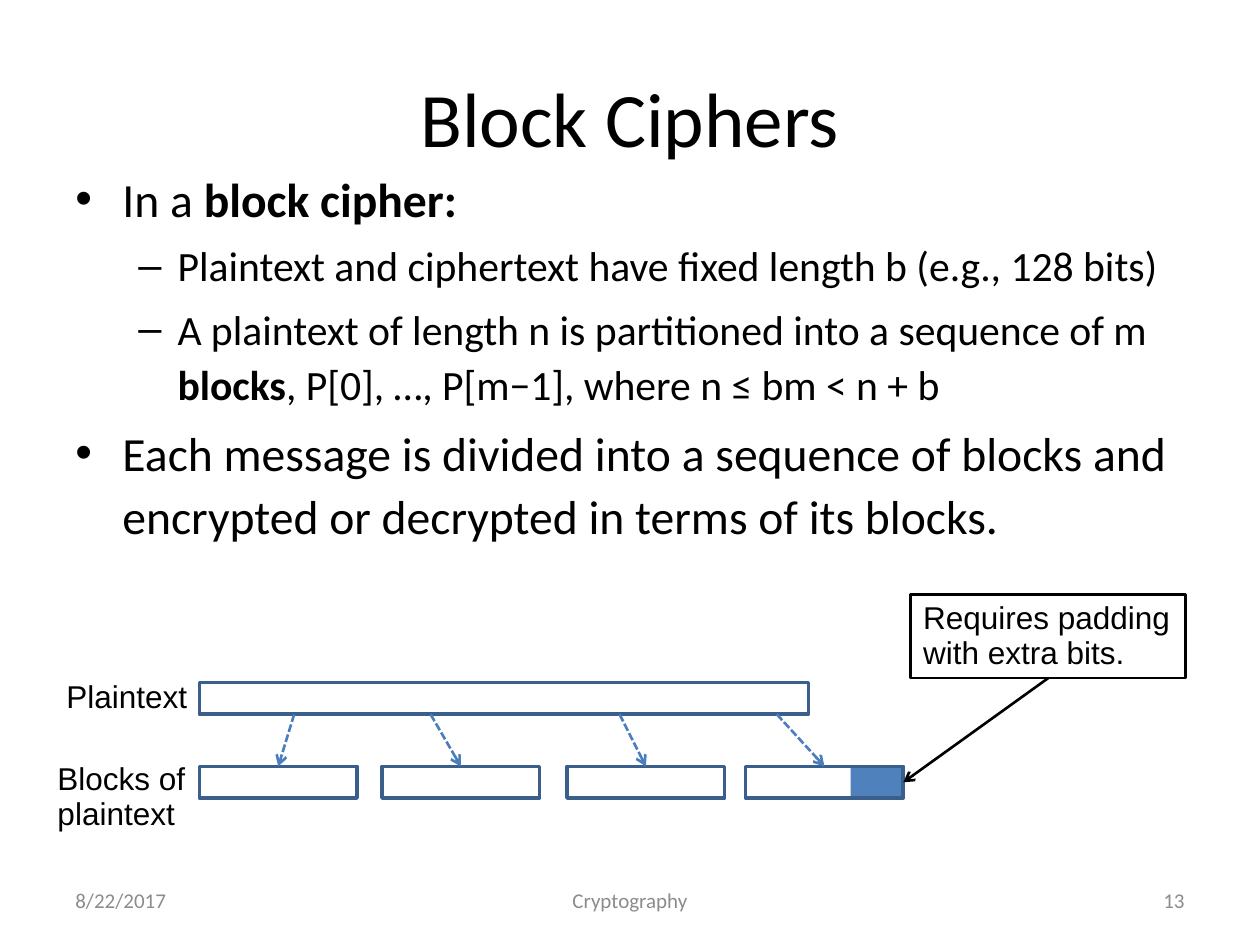
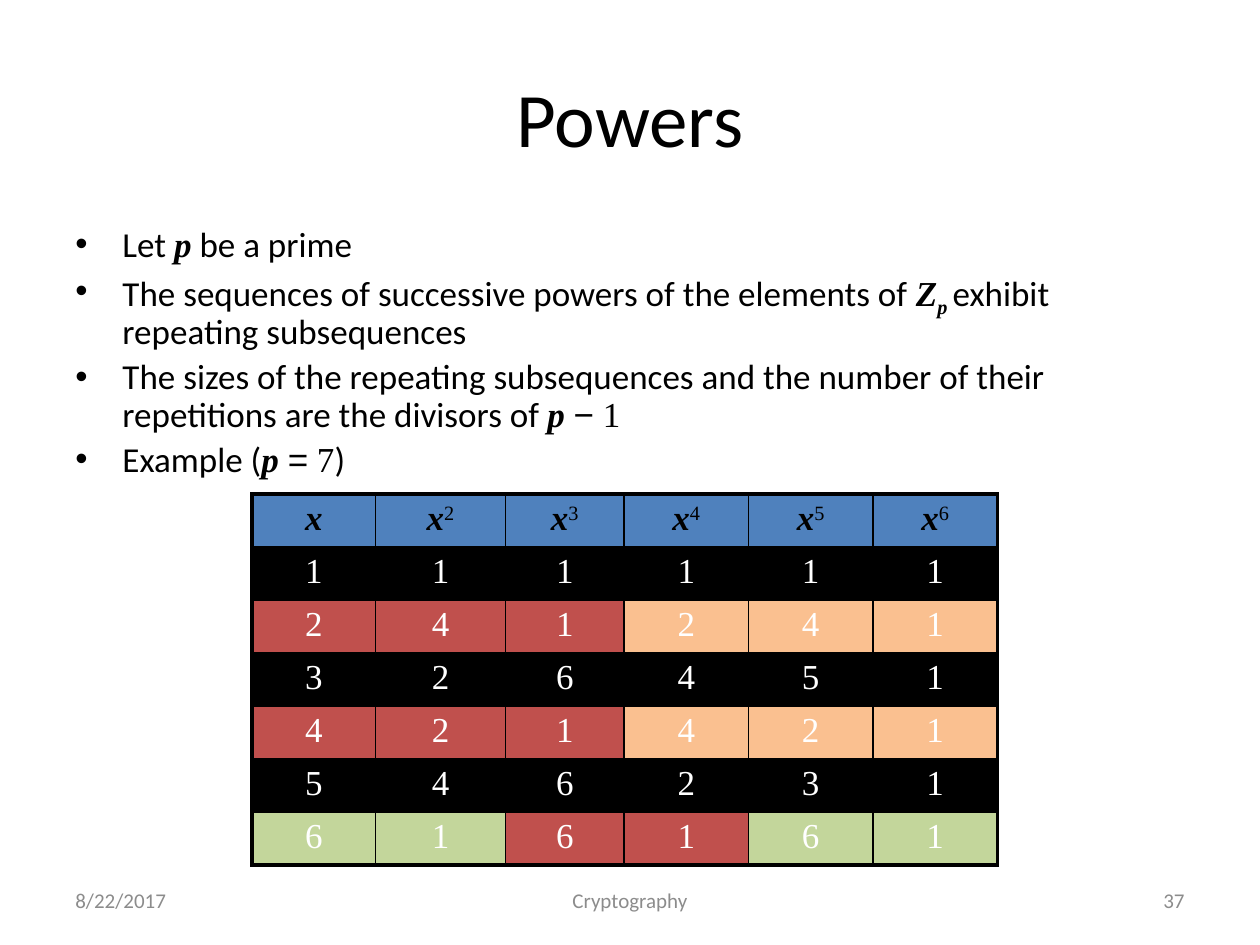
from lxml import etree
from pptx import Presentation
from pptx.dml.color import RGBColor
from pptx.enum.dml import MSO_LINE
from pptx.enum.shapes import MSO_CONNECTOR, MSO_SHAPE
from pptx.enum.text import MSO_ANCHOR, MSO_AUTO_SIZE, PP_ALIGN
from pptx.oxml.ns import qn
from pptx.util import Cm, Pt

LEFT, CENTER, RIGHT = PP_ALIGN.LEFT, PP_ALIGN.CENTER, PP_ALIGN.RIGHT
TOP, MIDDLE = MSO_ANCHOR.TOP, MSO_ANCHOR.MIDDLE
FIT_SHAPE = MSO_AUTO_SIZE.SHAPE_TO_FIT_TEXT
RECTANGLE, STRAIGHT = MSO_SHAPE.RECTANGLE, MSO_CONNECTOR.STRAIGHT
DASHED = MSO_LINE.SQUARE_DOT

BLACK = RGBColor(0x00, 0x00, 0x00)
WHITE = RGBColor(0xFF, 0xFF, 0xFF)
GRAY = RGBColor(0x8C, 0x8C, 0x8C)
BLUE = RGBColor(0x4F, 0x81, 0xBD)
BLUE_EDGE = RGBColor(0x3A, 0x5F, 0x8C)
BLUE_ARROW = RGBColor(0x4B, 0x7E, 0xBC)
RED = RGBColor(0xC0, 0x50, 0x4D)
ORANGE = RGBColor(0xFA, 0xC0, 0x90)
GREEN = RGBColor(0xC3, 0xD6, 0x9B)

SANS, ARIAL, TIMES = "Calibri", "Arial", "Times New Roman"
BOLD = {"bold": True}
SYMBOL = {"font": ARIAL}
NUMBER = {"font": TIMES}
VARIABLE = {"font": TIMES, "bold": True, "italic": True}
SUBSCRIPT = {**VARIABLE, "baseline": -25}
SUPERSCRIPT = {**NUMBER, "baseline": 30}

BULLETS = [("•", 0.95, 0.95), ("–", 2.06, 0.79)]
BAR_H, BLOCK_W, BLOCK_TOP = 0.64, 3.18, 15.45
BLOCK_LEFTS = [4.02, 7.7, 11.43, 15.03]
PLAINTEXT_LEFT, PLAINTEXT_TOP, PLAINTEXT_W = 4.02, 13.76, 12.28
SPLIT_XS = [5.93, 8.68, 12.49, 15.66]
PADDING_W = 1.06


def add_run(p, text, size, color=BLACK, font=SANS, bold=False, italic=False, baseline=0):
    r = p.add_run()
    r.text = text
    r.font.name, r.font.size = font, Pt(size)
    r.font.bold, r.font.italic = bold, italic
    r.font.color.rgb = color
    if baseline:
        r.font._element.set("baseline", str(baseline * 1000))


def add_box(s, left, top, width, height, anchor=TOP, wrap=True):
    sp = s.shapes.add_textbox(Cm(left), Cm(top), Cm(width), Cm(height))
    sp.text_frame.word_wrap = wrap
    sp.text_frame.vertical_anchor = anchor
    return sp


def add_line_of_text(s, box, text, size, align, color=BLACK):
    sp = add_box(s, *box, anchor=MIDDLE)
    p = sp.text_frame.paragraphs[0]
    p.alignment = align
    add_run(p, text, size, color)


def add_label(s, left, top, width, height, lines):
    sp = add_box(s, left, top, width, height, wrap=False)
    tf = sp.text_frame
    tf.auto_size = FIT_SHAPE
    for i, line in enumerate(lines):
        p = tf.add_paragraph() if i else tf.paragraphs[0]
        p.line_spacing = 0.93
        add_run(p, line, 18, font=ARIAL)
    return sp


def add_bullets(s, top, height, items, sizes, spacing):
    tf = add_box(s, 1.27, top, 22.86, height).text_frame
    for i, (level, runs) in enumerate(items):
        p = tf.add_paragraph() if i else tf.paragraphs[0]
        char, margin, hang = BULLETS[level]
        pPr = p._p.get_or_add_pPr()
        pPr.set("marL", str(Cm(margin)))
        pPr.set("indent", str(-Cm(hang)))
        etree.SubElement(pPr, qn("a:buFont")).set("typeface", ARIAL)
        etree.SubElement(pPr, qn("a:buChar")).set("char", char)
        p.level = level
        p.line_spacing = spacing
        if i:
            p.space_before = Pt(round(sizes[level] * 0.2, 1))
        for text, style in runs:
            add_run(p, text, sizes[level], **style)


def add_bar(s, left, top, width, fill=None, edge=None):
    sp = s.shapes.add_shape(RECTANGLE, Cm(left), Cm(top), Cm(width), Cm(BAR_H))
    sp.shadow.inherit = False
    if fill is None:
        sp.fill.background()
    else:
        sp.fill.solid()
        sp.fill.fore_color.rgb = fill
    if edge is None:
        sp.line.fill.background()
    else:
        sp.line.color.rgb = edge
        sp.line.width = Pt(2)
    return sp


def add_arrow(s, x, y, target, site, color, dash=None):
    cx = s.shapes.add_connector(STRAIGHT, Cm(x), Cm(y), Cm(x), Cm(y))
    cx.end_connect(target, site)
    cx.line.color.rgb = color
    cx.line.width = Pt(1.5)
    if dash is not None:
        cx.line.dash_style = dash
    etree.SubElement(cx.line._get_or_add_ln(), qn("a:tailEnd")).set("type", "arrow")
    etree.SubElement(cx._element.spPr, qn("a:effectLst"))
    return cx


def add_border(cell, side, width):
    ln = etree.SubElement(cell._tc.get_or_add_tcPr(), qn(f"a:ln{side}"))
    ln.set("w", str(Pt(width)))
    fill = etree.SubElement(ln, qn("a:solidFill"))
    etree.SubElement(fill, qn("a:srgbClr")).set("val", str(BLACK))


def fill_cell(cell, runs, fill, color, outer_sides):
    for side in "LRTB":
        add_border(cell, side, 2.25 if side in outer_sides else 1)
    cell.fill.solid()
    cell.fill.fore_color.rgb = fill
    cell.vertical_anchor = TOP
    cell.margin_top = cell.margin_bottom = Cm(0.11)
    p = cell.text_frame.paragraphs[0]
    p.alignment = CENTER
    for text, style in runs:
        add_run(p, text, 20, color, **style)


def add_powers_table(s, modulus):
    n = modulus - 1
    widths = [2.49, 2.62, 2.39, 2.51, 2.51, 2.51]
    row_h = 1.04
    fills = {2: [RED] * 3 + [ORANGE] * 3,
             4: [RED] * 3 + [ORANGE] * 3,
             6: [GREEN] * 2 + [RED] * 2 + [GREEN] * 2}
    frame = s.shapes.add_table(n + 1, n, Cm(5.08), Cm(9.96), Cm(sum(widths)), Cm(row_h * (n + 1)))
    table = frame.table
    table.first_row = table.horz_banding = False
    for column, width in zip(table.columns, widths):
        column.width = Cm(width)
    for x, row in enumerate(table.rows):
        row.height = Cm(row_h)
        for col, cell in enumerate(row.cells):
            power = col + 1
            outer = {"L": col == 0, "R": power == n, "T": x == 0, "B": x == n}
            sides = [side for side, is_outer in outer.items() if is_outer]
            if x == 0:
                runs = [("x", VARIABLE)]
                if col:
                    runs.append((str(power), SUPERSCRIPT))
                fill_cell(cell, runs, BLUE, BLACK, sides)
            else:
                fill = fills.get(x, [BLACK] * n)[col]
                fill_cell(cell, [(str(pow(x, power, modulus)), NUMBER)], fill, WHITE, sides)


def add_slide(prs, title, number):
    s = prs.slides.add_slide(prs.slide_layouts[6])
    add_line_of_text(s, (1.27, 0.76, 22.86, 3.18), title, 44, CENTER)
    footers = [(1.27, 5.93, "8/22/2017", LEFT),
               (8.68, 8.04, "Cryptography", CENTER),
               (18.2, 5.93, str(number), RIGHT)]
    for left, width, text, align in footers:
        add_line_of_text(s, (left, 17.65, width, 1.01), text, 12, align, GRAY)
    return s


def add_block_diagram(s):
    add_bar(s, BLOCK_LEFTS[-1] + BLOCK_W - PADDING_W, BLOCK_TOP, PADDING_W, BLUE)
    block_fills = [WHITE, WHITE, WHITE, None]
    blocks = [add_bar(s, left, BLOCK_TOP, BLOCK_W, fill, BLUE_EDGE)
              for left, fill in zip(BLOCK_LEFTS, block_fills)]
    add_bar(s, PLAINTEXT_LEFT, PLAINTEXT_TOP, PLAINTEXT_W, WHITE, BLUE_EDGE)
    for x, block in zip(SPLIT_XS, blocks):
        add_arrow(s, x, PLAINTEXT_TOP + BAR_H, block, 0, BLUE_ARROW, DASHED)

    add_label(s, 1.09, 13.59, 2.97, 0.97, ["Plaintext"])
    add_label(s, 0.91, 15.24, 3.12, 1.68, ["Blocks of", "plaintext"])
    note = add_label(s, 18.36, 11.99, 5.54, 1.68, ["Requires padding", "with extra bits."])
    note.line.color.rgb = BLACK
    note.line.width = Pt(1.5)
    arrow = add_arrow(s, 21.13, 13.67, blocks[-1], 3, BLACK)
    arrow.begin_connect(note, 2)


def build_block_ciphers(prs):
    s = add_slide(prs, "Block Ciphers", 13)
    add_bullets(s, 3.18, 8.05, [
        (0, [("In a ", {}), ("block cipher:", BOLD)]),
        (1, [("Plaintext and ciphertext have fixed length b (e.g., 128 bits)", {})]),
        (1, [("A plaintext of length n is partitioned into a sequence of m ", {}),
             ("blocks", BOLD),
             (", P[0], …, P[m−1], where n ≤ bm < n + b", {})]),
        (0, [("Each message is divided into a sequence of blocks and "
              "encrypted or decrypted in terms of its blocks.", {})]),
    ], sizes=[27.2, 23.8], spacing=1.1)
    add_block_diagram(s)


def build_powers(prs):
    s = add_slide(prs, "Powers", 37)
    add_bullets(s, 4.45, 12.57, [
        (0, [("Let ", {}), ("p", VARIABLE), (" be a prime", {})]),
        (0, [("The sequences of successive powers of the elements of ", {}),
             ("Z", VARIABLE), ("p ", SUBSCRIPT), ("exhibit repeating subsequences", {})]),
        (0, [("The sizes of the repeating subsequences and the number of their "
              "repetitions are the divisors of ", {}),
             ("p ", VARIABLE), ("−", SYMBOL), (" 1", NUMBER)]),
        (0, [("Example (", {}), ("p ", VARIABLE), ("=", SYMBOL), (" 7", NUMBER), (")", {})]),
    ], sizes=[20], spacing=0.9)
    add_powers_table(s, 7)


def main():
    prs = Presentation()
    prs.slide_width, prs.slide_height = Cm(25.4), Cm(19.05)
    build_block_ciphers(prs)
    build_powers(prs)
    prs.save("out.pptx")


if __name__ == "__main__":
    main()
